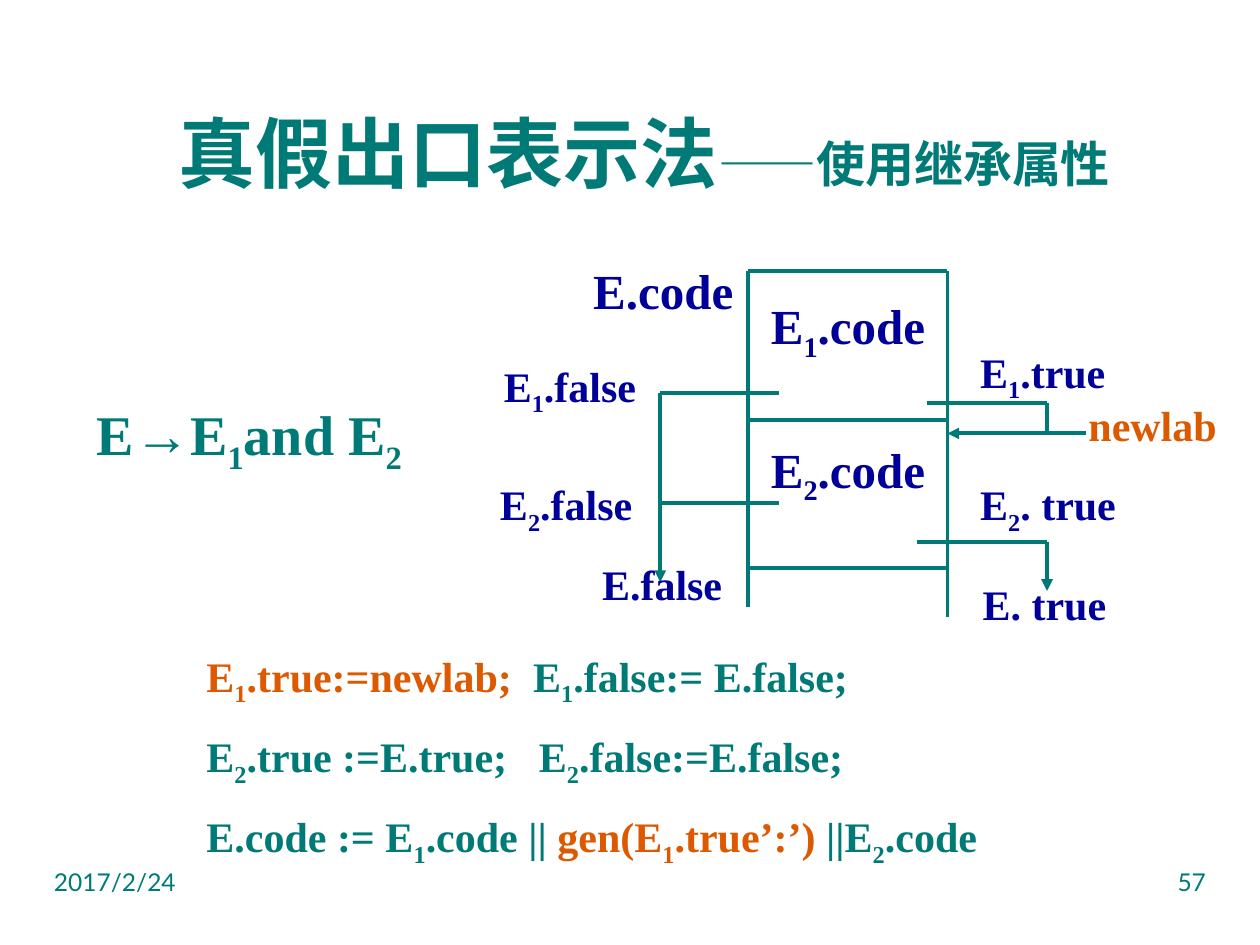
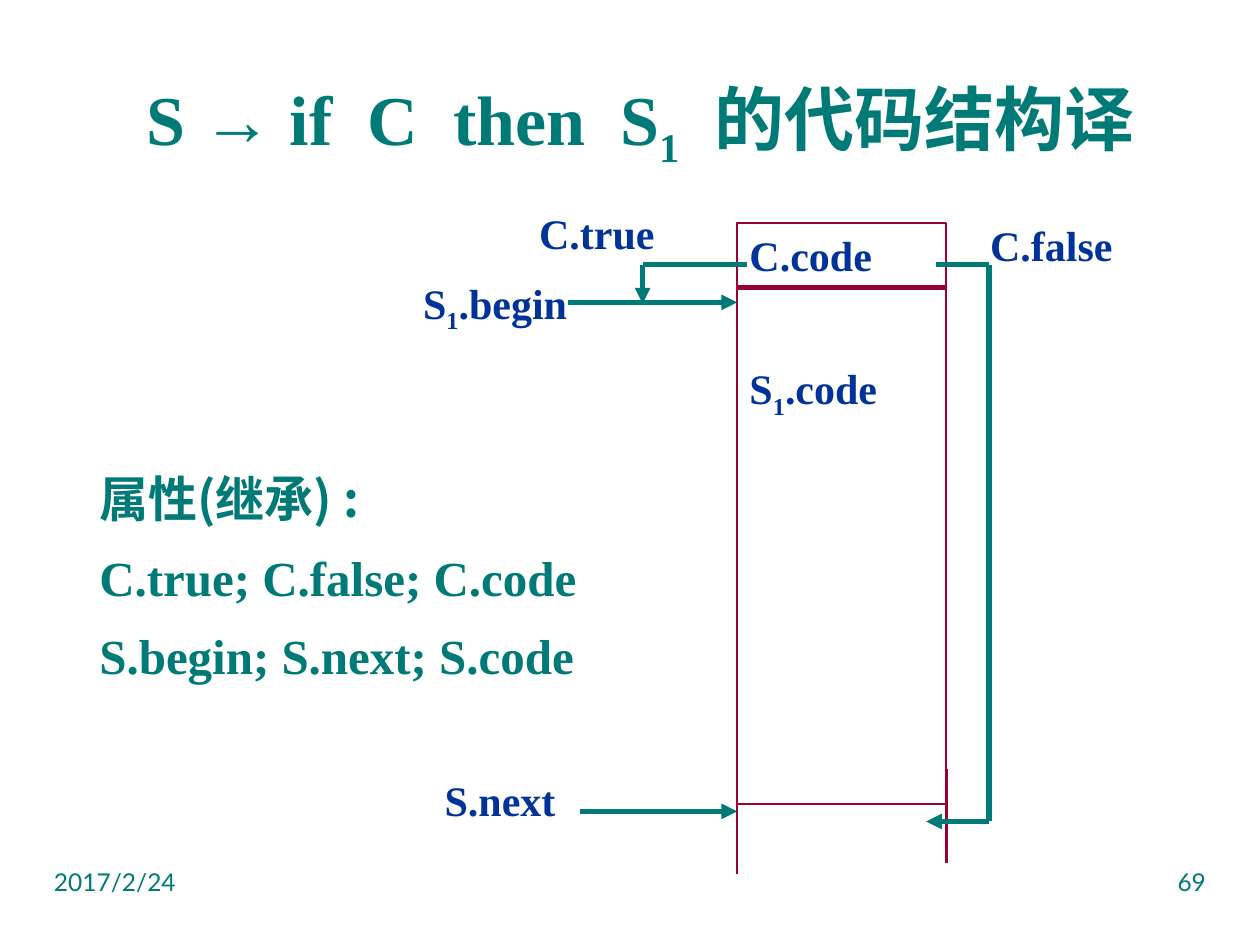
from itertools import groupby, pairwise

from lxml import etree
from pptx import Presentation, util as u
from pptx.dml.color import RGBColor
from pptx.enum import shapes, text
from pptx.oxml.ns import qn

# Shared look
TEAL = RGBColor(0x00, 0x7A, 0x77)
ORANGE = RGBColor(0xDC, 0x59, 0x00)
NAVY = RGBColor(0x00, 0x00, 0x99)
BLUE = RGBColor(0x00, 0x33, 0x99)
MAROON = RGBColor(0x99, 0x00, 0x33)
SERIF, SANS, CJK = "Times New Roman", "Lato", "Noto Sans CJK JP"

# Grid of 100 columns by 75 rows; every position below counts its cells
COLS, ROWS = 100, 75
CELL = u.Inches(0.1)


def cells(*counts):
    return [round(n * CELL) for n in counts]


def format_run(r, size, color, font, bold):
    r.font.size, r.font.bold, r.font.name = u.Pt(size), bold, font
    r.font.color.rgb = color
    etree.SubElement(r.font._element, qn("a:ea")).set("typeface", CJK)


def write(p, markup, size, color, font=SERIF, bold=True):
    """Markup: _n is a subscript, {..} is orange, each ~ widens one space."""
    marked, accent, lowered = [], False, False
    for ch in markup:
        if ch in "{}":
            accent = ch == "{"
        elif ch == "_":
            lowered = True
        else:
            marked.append((ch, (accent, lowered, ch == "~")))
            lowered = False
    for (accent, lowered, wide), group in groupby(marked, lambda m: m[1]):
        chars = "".join(ch for ch, _ in group)
        r = p.add_run()
        r.text = " " if wide else chars
        format_run(r, size, ORANGE if accent else color, font, bold)
        if lowered:
            r.font._element.set("baseline", "-25000")
        if wide:
            r.font._element.set("spc", str(len(chars) * size * 25))


def text_box(s, box, lines, size, color, font=SERIF, bold=True,
             align=text.PP_ALIGN.LEFT, anchor=text.MSO_ANCHOR.TOP):
    tf = s.shapes.add_textbox(*cells(*box)).text_frame
    tf.word_wrap, tf.vertical_anchor = True, anchor
    for i, line in enumerate(lines):
        p = tf.add_paragraph() if i else tf.paragraphs[0]
        p.alignment = align
        write(p, line, size, color, font, bold)
    return tf


def label(s, x, y, width, markup, color, size=24):
    height = 5.7 if size > 24 else 5
    tf = text_box(s, (x, y, width, height), [markup], size, color)
    tf.word_wrap, tf.auto_size = False, text.MSO_AUTO_SIZE.SHAPE_TO_FIT_TEXT


def title(s, box, markup, size):
    tf = text_box(s, box, [markup], size, TEAL, align=text.PP_ALIGN.CENTER,
                  anchor=text.MSO_ANCHOR.MIDDLE)
    return tf.paragraphs[0]


def footer(s, number):
    width, margin, top = 25, 3.3, 68.3
    for x, words, align in ((margin, "2017/2/24", text.PP_ALIGN.LEFT),
                            (COLS - margin - width, number, text.PP_ALIGN.RIGHT)):
        text_box(s, (x, top, width, 5.2), [words], 14, TEAL, SANS, False, align=align)


def route(s, points, width, color=TEAL, arrow=False):
    """Straight lines through the points, with an arrowhead at the last one."""
    for start, end in pairwise(points):
        line = s.shapes.add_connector(shapes.MSO_CONNECTOR.STRAIGHT,
                                      *cells(*start, *end))
        line.line.color.rgb, line.line.width = color, u.Pt(width)
        etree.SubElement(line._element.spPr, qn("a:effectLst"))
    if arrow:
        tail = etree.SubElement(line.line._get_or_add_ln(), qn("a:tailEnd"))
        tail.set("type", "triangle")


def code_block(s, box, markup, drop):
    sp = s.shapes.add_shape(shapes.MSO_SHAPE.RECTANGLE, *cells(*box))
    sp.shadow.inherit = False
    sp.fill.background()
    sp.line.color.rgb, sp.line.width = MAROON, u.Pt(1.5)
    tf = sp.text_frame
    tf.word_wrap, tf.vertical_anchor = True, text.MSO_ANCHOR.TOP
    tf.margin_top = cells(drop)[0]
    p = tf.paragraphs[0]
    p.alignment = text.PP_ALIGN.LEFT
    write(p, markup, 24, BLUE)


def and_slide(s):
    p = title(s, (9.8, 5.5, 82.7, 13.1), "真假出口表示法", 44)
    write(p, "——", 28, TEAL, bold=False)
    write(p, "使用继承属性", 28, TEAL)
    footer(s, "57")

    # Semantic rules and production
    rules = text_box(s, (15.4, 49.3, 66.9, 18.1), [
        "{E_1.true:=newlab;}~E_1.false:= E.false;",
        "E_2.true :=E.true;~~E_2.false:=E.false;",
        "E.code := E_1.code || {gen(E_1.true’:’)} ||E_2.code"], 24, TEAL)
    for p in rules.paragraphs:
        p.line_spacing = 1.4
    text_box(s, (6.7, 31.2, 31.5, 6.3), ["E→E_1and E_2"], 32, TEAL)

    # Code frame
    left, right, top = 59.4, 75.2, 21.5
    route(s, [(left, 48.2), (left, top), (right, top), (right, 49)], 2.25)
    for y in (33.3, 45.1):
        route(s, [(left, y), (right, y)], 2.25)

    # False exits on the left, true exits on the right
    false_x, true_x = 52.4, 83.1
    route(s, [(61.8, 31.2), (false_x, 31.2), (false_x, 46.2)], 2.25, arrow=True)
    route(s, [(false_x, 39.9), (61.8, 39.9)], 2.25)
    route(s, [(73.6, 32), (true_x, 32), (true_x, 34.4)], 2.25)
    route(s, [(86.2, 34.4), (right, 34.4)], 2.25, arrow=True)
    route(s, [(72.8, 43), (true_x, 43), (true_x, 46.9)], 2.25, arrow=True)

    # Labels
    for x, y, width, markup in ((46.1, 20.2, 13.1, "E.code"),
                                (60.2, 23, 14.4, "E_1.code"),
                                (60.2, 34.4, 14.4, "E_2.code")):
        label(s, x, y, width, markup, NAVY, 28)
    for x, y, width, markup in ((39, 28.1, 12.7, "E_1.false"),
                                (38.7, 37.5, 12.7, "E_2.false"),
                                (46.8, 43.8, 11.6, "E.false"),
                                (76.8, 27, 12.1, "E_1.true"),
                                (76.8, 37.5, 12.9, "E_2. true"),
                                (77, 45.4, 11.8, "E. true"),
                                (85.4, 31.2, 12.2, "{newlab}")):
        label(s, x, y, width, markup, NAVY)


def if_then_slide(s):
    title(s, (6.7, 4.4, 88.2, 10.7), "S → if~C~then~S_1~的代码结构译", 40)
    footer(s, "69")

    # Code frame
    left, width = 58.5, 16.6
    right = left + width
    code_block(s, (left, 17.7, width, 5.2), "C.code", 0.5)
    code_block(s, (left, 22.7, width, 41.1), "S_1.code", 6.1)
    route(s, [(right, 61), (right, 68.5)], 1.5, MAROON)
    route(s, [(left, 61.9), (left, 69.4)], 1.5, MAROON)

    # Jumps
    true_x, false_x, exit_y = 51, 78.5, 21
    route(s, [(59.3, exit_y), (true_x, exit_y), (true_x, 24.1)], 3, arrow=True)
    route(s, [(45.1, 24), (left, 24)], 3, arrow=True)
    route(s, [(46, 64.4), (left, 64.4)], 3, arrow=True)
    route(s, [(74.3, exit_y), (false_x, exit_y), (false_x, 65.2), (73.5, 65.2)],
          3, arrow=True)

    # Labels
    for x, y, w, markup in ((41.8, 16, 11.2, "C.true"),
                            (32.6, 21.5, 13.6, "S_1.begin"),
                            (34.3, 61, 10.8, "S.next"),
                            (77.6, 16.9, 11.7, "C.false")):
        label(s, x, y, w, markup, BLUE)

    # Inherited attributes
    tf = text_box(s, (6.9, 36.7, 40.9, 18.8), ["属性(继承) :"], 28, TEAL, CJK)
    for line in ("C.true; C.false; C.code", "S.begin; S.next; S.code"):
        p = tf.add_paragraph()
        p.space_before = u.Pt(11.2)
        write(p, line, 28, TEAL)


def main():
    prs = Presentation()
    prs.slide_width, prs.slide_height = COLS * CELL, ROWS * CELL
    for build in (and_slide, if_then_slide):
        build(prs.slides.add_slide(prs.slide_layouts[6]))
    prs.save("out.pptx")


if __name__ == "__main__":
    main()
